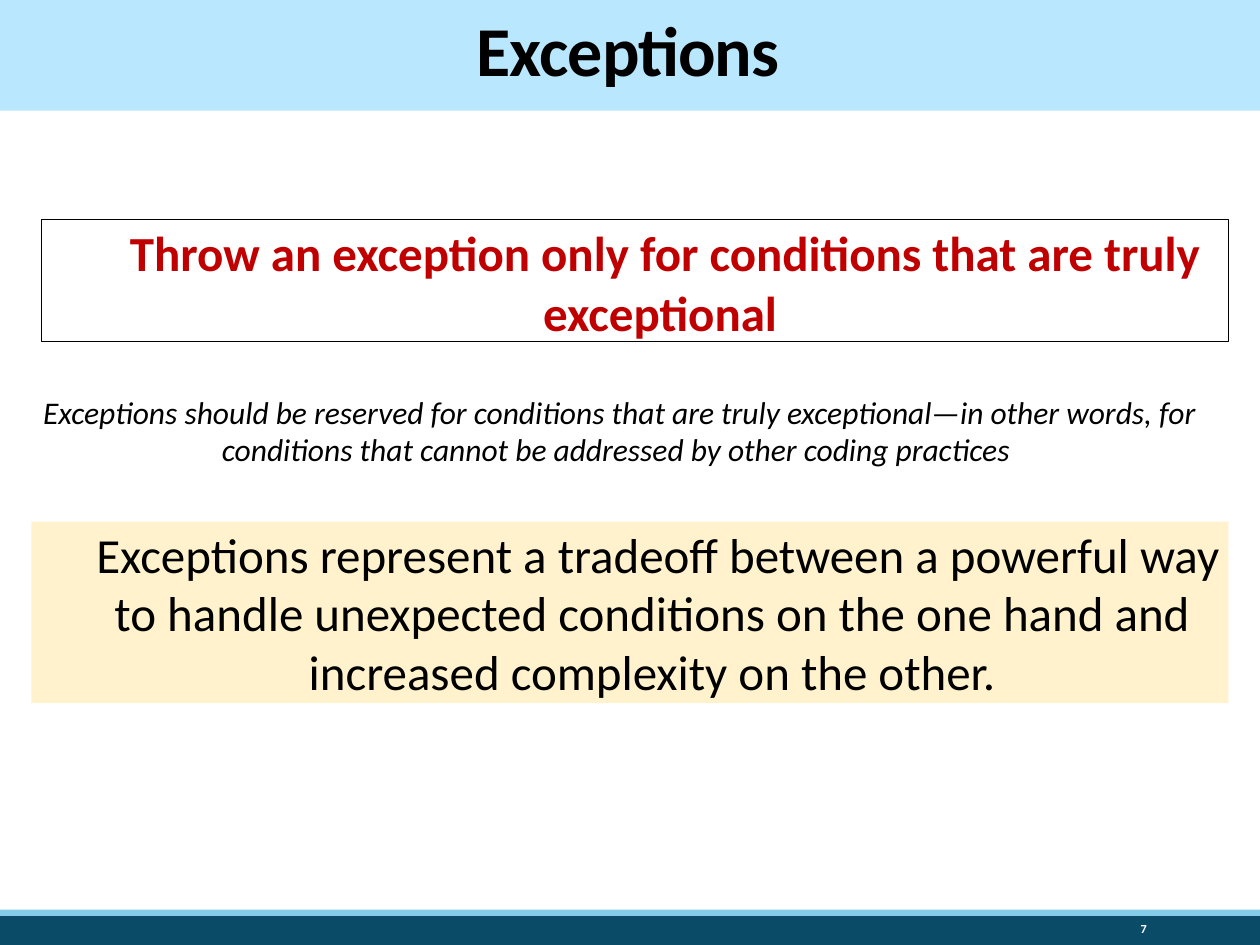
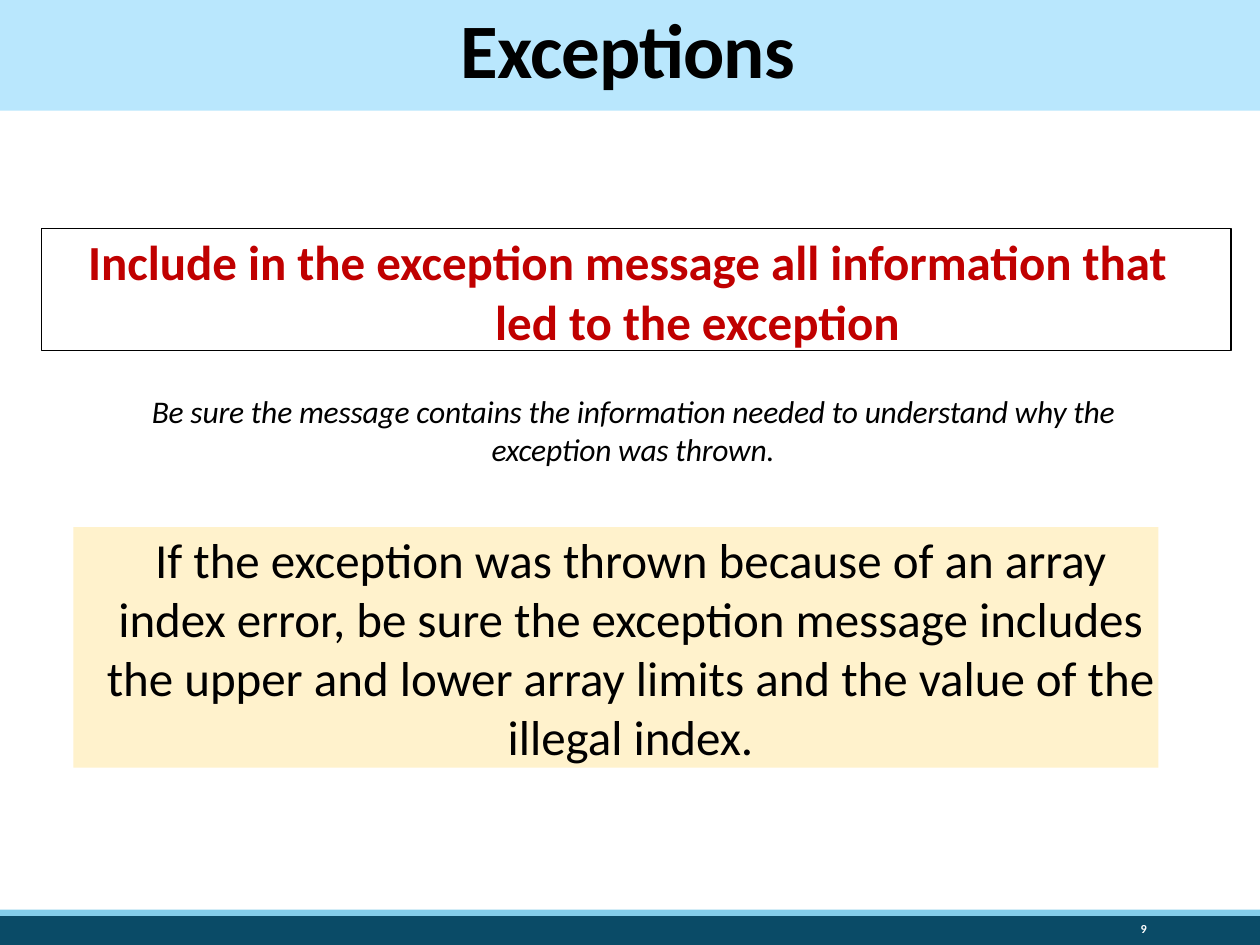
from dataclasses import dataclass

import pptx
import pptx.dml.color
import pptx.enum.shapes
import pptx.enum.text
import pptx.presentation
import pptx.slide
import pptx.util

Pt = pptx.util.Pt
RGBColor = pptx.dml.color.RGBColor
Align = pptx.enum.text.PP_ALIGN
Anchor = pptx.enum.text.MSO_ANCHOR
Fit = pptx.enum.text.MSO_AUTO_SIZE

BLACK = RGBColor(0x00, 0x00, 0x00)
WHITE = RGBColor(0xFF, 0xFF, 0xFF)
NAVY = RGBColor(0x0A, 0x4B, 0x67)
AQUA = RGBColor(0x84, 0xCD, 0xEA)
SKY = RGBColor(0xB9, 0xE7, 0xFD)
RED = RGBColor(0xC0, 0x00, 0x00)
CREAM = RGBColor(0xFF, 0xF2, 0xCC)

FONT = "Calibri"
WIDTH, HEIGHT = 720, 540
FOOT = 523.4


@dataclass(frozen=True)
class Place:
    left: float
    top: float
    width: float
    height: float


@dataclass(frozen=True)
class Style:
    """Look of a text box; insets of None keep the default margins."""
    size: float
    color: RGBColor = BLACK
    bold: bool = False
    slant: bool = False
    track: float = 0
    align: Align = Align.LEFT
    margin: float = 0
    indent: float = 0
    spacing: float | pptx.util.Length = 1.0
    inset: float | None = 1.4
    fill: RGBColor | None = None
    line: RGBColor | None = None


@dataclass(frozen=True)
class Block:
    text: str
    place: Place
    style: Style


@dataclass(frozen=True)
class Page:
    number: int
    title_size: float
    blocks: tuple[Block, ...]


def add_block(slide: pptx.slide.Slide, block: Block) -> None:
    """Draw a rectangle with text, or a bare band if the text is empty."""
    place, style = block.place, block.style
    shape = slide.shapes.add_shape(
        pptx.enum.shapes.MSO_SHAPE.RECTANGLE,
        Pt(place.left), Pt(place.top), Pt(place.width), Pt(place.height))
    shape.shadow.inherit = False
    if style.fill is None:
        shape.fill.background()
    else:
        shape.fill.solid()
        shape.fill.fore_color.rgb = style.fill
    if style.line is None:
        shape.line.fill.background()
    else:
        shape.line.color.rgb = style.line
        shape.line.width = Pt(0.75)
    if block.text:
        add_text(shape.text_frame, block.text, style)


def add_text(frame: pptx.text.text.TextFrame, text: str, style: Style) -> None:
    frame.word_wrap = True
    if style.inset is None:
        frame.vertical_anchor = Anchor.MIDDLE
    else:
        frame.vertical_anchor = Anchor.TOP
        frame.auto_size = Fit.SHAPE_TO_FIT_TEXT
        frame.margin_left = frame.margin_right = frame.margin_bottom = 0
        frame.margin_top = Pt(style.inset)
    para = frame.paragraphs[0]
    para.alignment = style.align
    para.line_spacing = style.spacing
    props = para._p.get_or_add_pPr()
    props.set("marL", str(Pt(style.margin)))
    props.set("indent", str(Pt(style.indent)))
    run = para.add_run()
    run.text = text
    font = run.font
    font.name = FONT
    font.size = Pt(style.size)
    font.bold = style.bold
    font.italic = style.slant
    font.color.rgb = style.color
    if style.track:
        run._r.get_or_add_rPr().set("spc", str(round(style.track * 100)))


def rule_style(margin: float, indent: float) -> Style:
    return Style(28, RED, bold=True, margin=margin, indent=indent,
                 spacing=1.01, line=BLACK)


def note_style(margin: float, indent: float = 0) -> Style:
    return Style(28, align=Align.CENTER, margin=margin, indent=indent,
                 fill=CREAM)


def add_page(deck: pptx.presentation.Presentation, page: Page) -> None:
    slide = deck.slides.add_slide(deck.slide_layouts[6])
    title = Style(page.title_size, bold=True, track=-0.5, align=Align.CENTER,
                  spacing=0.85, inset=None, fill=SKY)
    number = Style(7, WHITE, bold=True, align=Align.RIGHT, spacing=0.9,
                   inset=None)
    frame = (
        Block("", Place(0, FOOT, WIDTH, HEIGHT - FOOT), Style(7, fill=NAVY)),
        Block("", Place(0, FOOT - 3.6, WIDTH, 3.6), Style(7, fill=AQUA)),
        Block("Exceptions", Place(-2.2, -0.7, WIDTH + 2.2, 64), title),
        Block(str(page.number), Place(584.6, FOOT, 77.8, 15.1), number),
    )
    for block in frame + page.blocks:
        add_block(slide, block)


PAGES = (
    Page(7, 40, (
        Block("Exceptions should be reserved for conditions that are truly "
              "exceptional—in other words, for conditions that cannot be "
              "addressed by other coding practices",
              Place(23.8, 223.2, 696.2, 44.6),
              Style(18, slant=True, margin=103, indent=-102.2,
                    spacing=Pt(20.9), inset=2.2)),
        Block("Throw an exception only for conditions that are truly "
              "exceptional",
              Place(23.8, 125.6, 678.2, 69.8), rule_style(286.6, -236.2)),
        Block("Exceptions represent a tradeoff between a powerful way to "
              "handle unexpected conditions on the one hand and increased "
              "complexity on the other.",
              Place(18, 298.1, 684, 103.7), note_style(25.2, 6.5)),
    )),
    Page(9, 44, (
        Block("Be sure the message contains the information needed to "
              "understand why the exception was thrown.",
              Place(60.5, 223.2, 601.9, 44.6),
              Style(18, slant=True, track=-0.1, align=Align.CENTER,
                    margin=0.7, inset=0.7)),
        Block("Include in the exception message all information that led to "
              "the exception",
              Place(23.8, 130.7, 679.7, 69.8), rule_style(259.2, -232.6)),
        Block("If the exception was thrown because of an array index error, "
              "be sure the exception message includes the upper and lower "
              "array limits and the value of the illegal index.",
              Place(42, 301.2, 620, 137.5), note_style(16.6)),
    )),
)


def main() -> None:
    deck = pptx.Presentation()
    deck.slide_width, deck.slide_height = Pt(WIDTH), Pt(HEIGHT)
    for page in PAGES:
        add_page(deck, page)
    deck.save("out.pptx")


if __name__ == "__main__":
    main()
